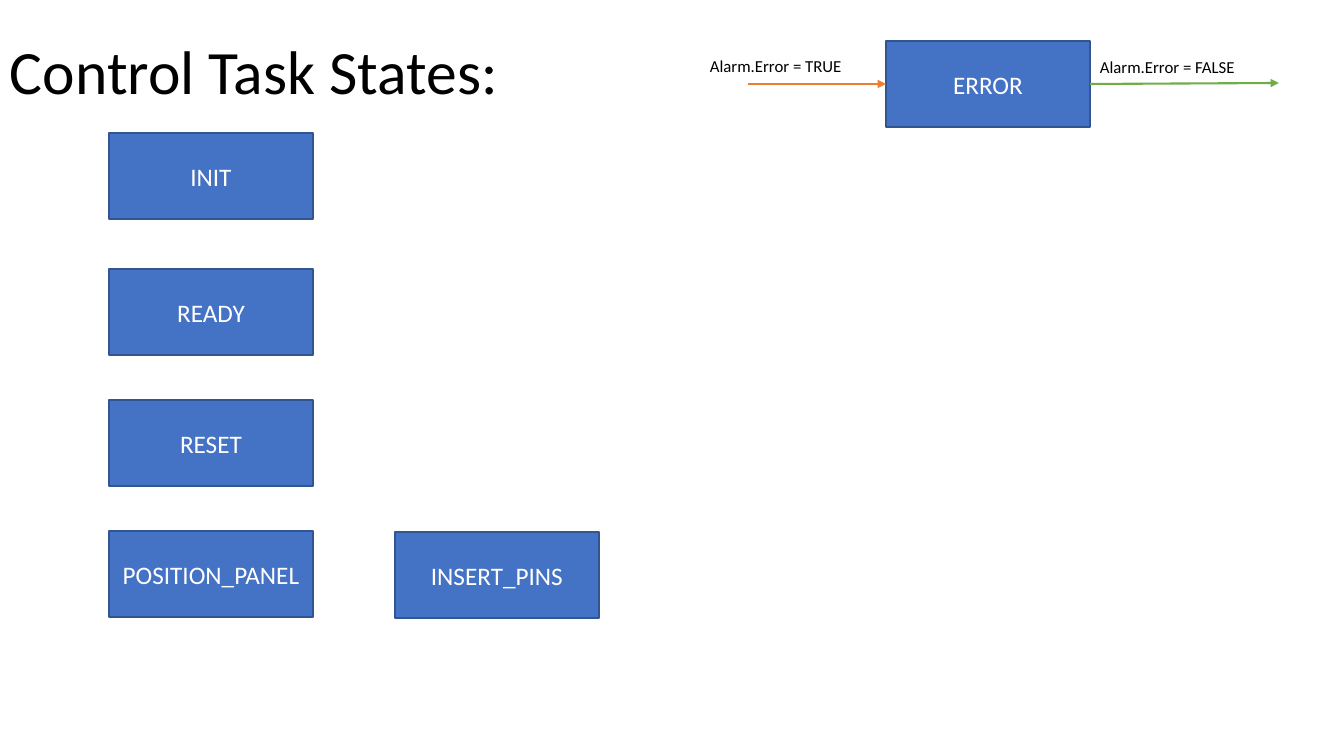
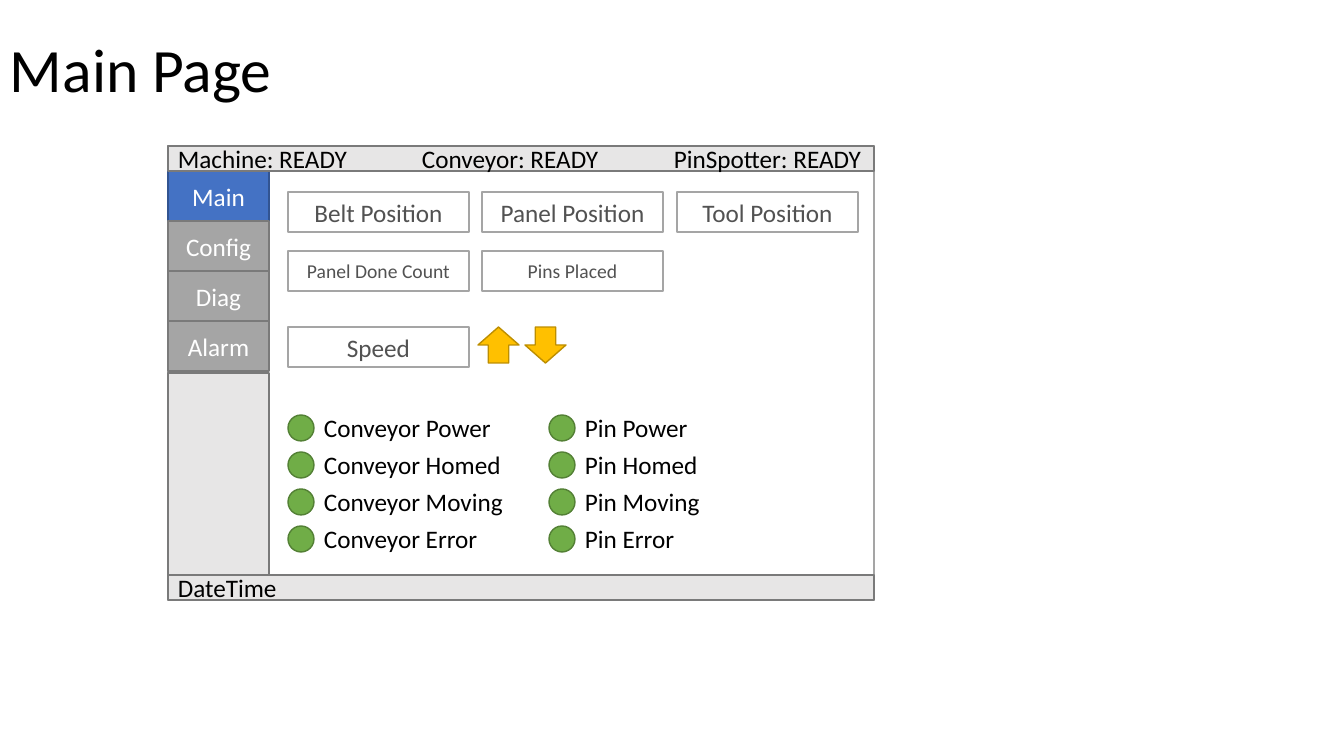
from dataclasses import dataclass

import pptx
import pptx.dml.color
import pptx.enum.shapes
import pptx.enum.text
import pptx.oxml
import pptx.oxml.ns
import pptx.util

PIXEL = 914400 / 100.8
FONT = "Calibri"
SHAPES = pptx.enum.shapes.MSO_SHAPE
ALIGN = pptx.enum.text.PP_ALIGN
ANCHOR = pptx.enum.text.MSO_ANCHOR
COLOURS = {
    "black": "000000",
    "white": "FFFFFF",
    "blue": "4472C4",
    "blue edge": "325491",
    "gray": "A5A5A5",
    "gray edge": "7A7A7A",
    "pale": "E7E6E6",
    "dark gray": "525252",
    "green": "70AD47",
    "green edge": "538035",
    "amber": "FFC000",
    "amber edge": "BD8E00",
    "orange": "ED7D31",
}


@dataclass(frozen=True)
class Area:
    left: int
    top: int
    width: int
    height: int


@dataclass(frozen=True)
class Style:
    fill: str
    edge: str
    text: str = "white"


@dataclass(frozen=True)
class Label:
    text: str
    area: Area
    size: int = 18


@dataclass(frozen=True)
class Arrow:
    start: tuple[int, int]
    end: tuple[int, int]
    colour: str


@dataclass(frozen=True)
class LampColumn:
    left: int
    device: str
    text_widths: tuple[int, ...]


BLUE = Style("blue", "blue edge")
TAB = Style("gray", "gray edge")
BAND = Style("pale", "gray edge")
FIELD = Style("white", "gray", "dark gray")
LAMP = Style("green", "green edge")
SPEED_BUTTON = Style("amber", "amber edge")


def emu(pixels: int) -> int:
    return round(pixels * PIXEL)


def bounds(area: Area) -> tuple[int, ...]:
    return tuple(map(emu, (area.left, area.top, area.width, area.height)))


def colour(name: str) -> pptx.dml.color.RGBColor:
    return pptx.dml.color.RGBColor.from_string(COLOURS[name])


def write(box, text: str, *, size: int = 18, ink: str = "black", align=ALIGN.LEFT,
          anchor=ANCHOR.TOP, wrap: bool = True, spacing: float = 1.0) -> None:
    frame = box.text_frame
    frame.word_wrap = wrap
    frame.vertical_anchor = anchor
    para = frame.paragraphs[0]
    para.alignment = align
    para.line_spacing = spacing
    span = para.add_run()
    span.text = text
    span.font.name = FONT
    span.font.size = pptx.util.Pt(size)
    span.font.color.rgb = colour(ink)


def draw_shape(page, area: Area, style: Style, text: str = "", size: int = 18,
               kind=SHAPES.RECTANGLE) -> None:
    box = page.shapes.add_shape(kind, *bounds(area))
    box.shadow.inherit = False
    box.fill.solid()
    box.fill.fore_color.rgb = colour(style.fill)
    box.line.color.rgb = colour(style.edge)
    box.line.width = pptx.util.Pt(1)
    if text:
        write(box, text, size=size, ink=style.text, align=ALIGN.CENTER, anchor=ANCHOR.MIDDLE)


def draw_label(page, label: Label) -> None:
    box = page.shapes.add_textbox(*bounds(label.area))
    write(box, label.text, size=label.size, wrap=False)
    box.text_frame.auto_size = pptx.enum.text.MSO_AUTO_SIZE.SHAPE_TO_FIT_TEXT


def draw_arrow(page, arrow: Arrow) -> None:
    line = page.shapes.add_connector(
        pptx.enum.shapes.MSO_CONNECTOR.STRAIGHT, *map(emu, arrow.start + arrow.end))
    line.line.color.rgb = colour(arrow.colour)
    line.line.width = pptx.util.Pt(1.5)
    outline = line.line._get_or_add_ln()
    head = pptx.oxml.parse_xml(
        f'<a:tailEnd {pptx.oxml.ns.nsdecls("a")} type="triangle"/>')
    outline.append(head)
    effects = pptx.oxml.parse_xml(f'<a:effectLst {pptx.oxml.ns.nsdecls("a")}/>')
    outline.addnext(effects)


def add_page(deck, title: str, top: int):
    page = deck.slides.add_slide(deck.slide_layouts[6])
    box = page.shapes.add_textbox(*bounds(Area(0, top, 1159, 146)))
    write(box, title, size=44, anchor=ANCHOR.MIDDLE, spacing=0.9)
    return page


def build_states(deck) -> None:
    page = add_page(deck, "Control Task States:", 2)
    states = (
        ("INIT", 109, 133),
        ("READY", 109, 269),
        ("RESET", 109, 400),
        ("POSITION_PANEL", 109, 531),
        ("INSERT_PINS", 395, 532),
        ("ERROR", 886, 41),
    )
    for name, left, top in states:
        draw_shape(page, Area(left, top, 204, 86), BLUE, name)
    draw_label(page, Label("Alarm.Error = TRUE", Area(700, 51, 157, 30), 12))
    draw_label(page, Label("Alarm.Error = FALSE", Area(1090, 52, 156, 30), 12))
    draw_arrow(page, Arrow((748, 84), (886, 84), "orange"))
    draw_arrow(page, Arrow((1090, 84), (1279, 83), "green"))


def draw_screen(page) -> None:
    left, top, width, band = 168, 146, 706, 25
    draw_shape(page, Area(left, top, width, 454), FIELD)
    for row, name in enumerate(("Main", "Config", "Diag", "Alarm")):
        style = BLUE if row == 0 else TAB
        draw_shape(page, Area(left, 171 + 50 * row, 101, 50), style, name)
    draw_shape(page, Area(left, 373, 101, 202), BAND)
    for band_top in (top, 575):
        draw_shape(page, Area(left, band_top, width, band), BAND)
    labels = (
        Label("Machine: READY", Area(left, 138, 192, 40)),
        Label("Conveyor: READY", Area(412, 138, 199, 40)),
        Label("PinSpotter: READY", Area(664, 138, 210, 40)),
        Label("DateTime", Area(left, 567, 120, 40)),
    )
    for label in labels:
        draw_label(page, label)


def draw_fields(page) -> None:
    columns = (288, 482, 677)
    rows = (
        (192, 18, ("Belt Position", "Panel Position", "Tool Position")),
        (251, 14, ("Panel Done Count", "Pins Placed")),
        (327, 18, ("Speed",)),
    )
    for top, size, names in rows:
        for left, name in zip(columns, names):
            draw_shape(page, Area(left, top, 181, 40), FIELD, name, size)
    for left, kind in ((478, SHAPES.UP_ARROW), (525, SHAPES.DOWN_ARROW)):
        draw_shape(page, Area(left, 327, 41, 36), SPEED_BUTTON, kind=kind)


def draw_lamps(page) -> None:
    lamp, first, pitch = 26, 415, 37
    columns = (
        LampColumn(288, "Conveyor", (188, 200, 202, 175)),
        LampColumn(549, "Pin", (124, 134, 136, 111)),
    )
    for column in columns:
        states = zip(("Power", "Homed", "Moving", "Error"), column.text_widths)
        for row, (state, width) in enumerate(states):
            top = first + pitch * row
            draw_shape(page, Area(column.left, top, lamp, lamp), LAMP, kind=SHAPES.OVAL)
            text_area = Area(column.left + lamp, top - 8, width, 40)
            draw_label(page, Label(f"{column.device} {state}", text_area))


def build_main_page(deck) -> None:
    page = add_page(deck, "Main Page", 0)
    draw_screen(page)
    draw_fields(page)
    draw_lamps(page)


def main() -> None:
    deck = pptx.Presentation()
    deck.slide_width = emu(1344)
    deck.slide_height = emu(756)
    build_states(deck)
    build_main_page(deck)
    deck.save("out.pptx")


main()
